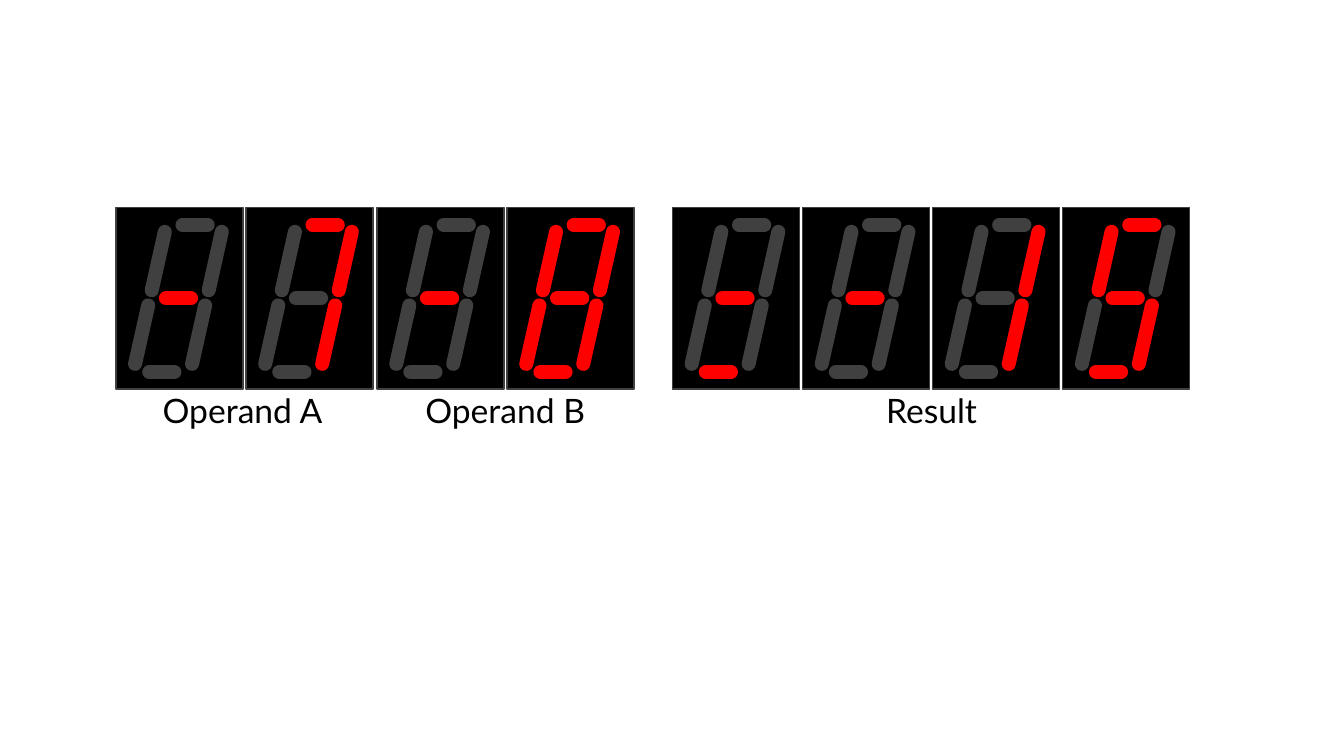
from dataclasses import dataclass
from typing import NamedTuple

from lxml import etree
from pptx import Presentation
from pptx.dml.color import RGBColor
from pptx.enum.shapes import MSO_CONNECTOR, MSO_SHAPE
from pptx.enum.text import MSO_AUTO_SIZE
from pptx.oxml.ns import qn
from pptx.util import Inches, Pt

RECT = MSO_SHAPE.RECTANGLE
LINE = MSO_CONNECTOR.STRAIGHT
GROW = MSO_AUTO_SIZE.SHAPE_TO_FIT_TEXT


@dataclass(frozen=True)
class Theme:
    font: str = "Lato"
    size: int = 24
    ink: str = "000000"
    panel: str = "000000"
    off: str = "404040"
    lit: str = "FF0000"
    edge: int = 1
    bar: int = 10


class Bar(NamedTuple):
    """One segment, measured from the corner of its digit."""
    name: str
    x1: float
    y1: float
    x2: float
    y2: float


class Field(NamedTuple):
    """A run of digits, each given by its lit segments, and a label."""
    left: float
    digits: tuple[str, ...]
    label: str
    width: float


THEME = Theme()

# Digit grid, in inches
TOP, WIDE, HIGH = 2.06, 1.26, 1.8
STEP = 1.29
SLANT, DROP = 0.165, 0.73  # shift from one row of segments to the next
LABEL_TOP, LABEL_HIGH, NUDGE = 3.82, 0.5, 0.02

FIELDS = (
    Field(1.15, ("g", "abc"), "Operand A", 1.86),
    Field(3.74, ("g", "abcdefg"), "Operand B", 1.83),
    Field(6.67, ("dg", "g", "bc", "acdfg"), "Result", 1.13),
)


def flat(row: int, name: str) -> Bar:
    x, y = 0.66 - SLANT * row, 0.17 + DROP * row
    return Bar(name, x, y, x + 0.25, y)


def tall(row: int, col: int, name: str) -> Bar:
    x, y = 0.355 + 0.565 * col - SLANT * row, 0.24 + DROP * row
    return Bar(name, x, y + 0.58, x + 0.13, y)


BARS = (
    [flat(row, name) for row, name in enumerate("agd")]
    + [tall(row, col, name)
       for row, pair in enumerate(("fb", "ec"))
       for col, name in enumerate(pair)]
)


def color(code: str) -> RGBColor:
    return RGBColor.from_string(code)


def draw_bar(shapes, bar: Bar, left: float, lit: bool) -> None:
    link = shapes.add_connector(
        LINE, Inches(left + bar.x1), Inches(TOP + bar.y1),
        Inches(left + bar.x2), Inches(TOP + bar.y2))
    link.line.color.rgb = color(THEME.lit if lit else THEME.off)
    link.line.width = Pt(THEME.bar)
    # Round ends, no shadow
    props = link._element.spPr
    props.find(qn("a:ln")).set("cap", "rnd")
    etree.SubElement(props, qn("a:effectLst"))


def draw_digit(slide, left: float, lit: str) -> None:
    shapes = slide.shapes.add_group_shape().shapes
    panel = shapes.add_shape(
        RECT, Inches(left), Inches(TOP), Inches(WIDE), Inches(HIGH))
    panel.shadow.inherit = False
    panel.fill.solid()
    panel.fill.fore_color.rgb = color(THEME.panel)
    panel.line.color.rgb = color(THEME.off)
    panel.line.width = Pt(THEME.edge)
    for bar in BARS:
        draw_bar(shapes, bar, left, bar.name in lit)


def add_text(slide, text: str, *, left: float, top: float, width: float,
             height: float, size: int = THEME.size,
             ink: str = THEME.ink) -> None:
    box = slide.shapes.add_textbox(
        Inches(left), Inches(top), Inches(width), Inches(height))
    frame = box.text_frame
    frame.word_wrap = False
    frame.auto_size = GROW
    run = frame.paragraphs[0].add_run()
    run.text = text
    run.font.name = THEME.font
    run.font.size = Pt(size)
    run.font.color.rgb = color(ink)


def draw_field(slide, field: Field) -> None:
    for col, lit in enumerate(field.digits):
        draw_digit(slide, field.left + col * STEP, lit)
    # Label box sits under the middle of the run
    span = (len(field.digits) - 1) * STEP + WIDE
    add_text(slide, field.label,
             left=field.left + (span - field.width) / 2 + NUDGE,
             top=LABEL_TOP, width=field.width, height=LABEL_HIGH)


def main() -> None:
    deck = Presentation()
    deck.slide_width, deck.slide_height = Inches(13.33), Inches(7.5)
    slide = deck.slides.add_slide(deck.slide_layouts[6])
    for field in FIELDS:
        draw_field(slide, field)
    deck.save("out.pptx")


main()
